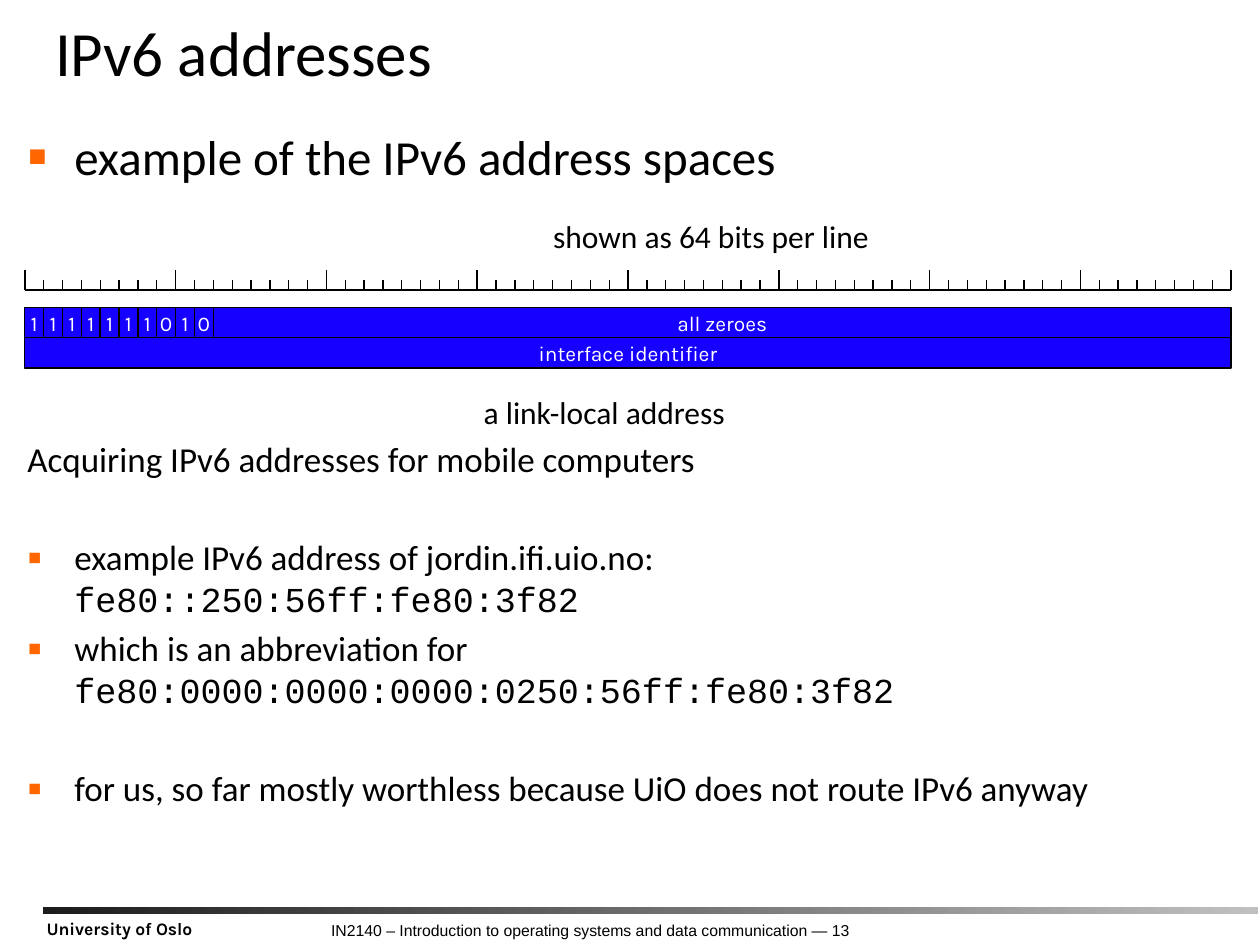
from lxml import etree
from pptx import Presentation
from pptx.dml.color import RGBColor
from pptx.enum.shapes import MSO_CONNECTOR, MSO_SHAPE
from pptx.enum.text import MSO_ANCHOR, MSO_AUTO_SIZE, PP_ALIGN
from pptx.oxml.ns import qn
from pptx.util import Cm, Pt

LINE = MSO_CONNECTOR.STRAIGHT
RECTANGLE = MSO_SHAPE.RECTANGLE
TOP, MIDDLE, BOTTOM = MSO_ANCHOR.TOP, MSO_ANCHOR.MIDDLE, MSO_ANCHOR.BOTTOM
NO_RESIZE = MSO_AUTO_SIZE.NONE
LEFT, CENTER = PP_ALIGN.LEFT, PP_ALIGN.CENTER
BLACK, WHITE, BLUE, ORANGE = "000000", "FFFFFF", "1600FF", "FF6600"


def rgb(value):
    return RGBColor.from_string(value)


def style(paragraph, size, face, color=BLACK, bold=False, align=LEFT):
    paragraph.alignment = align
    font = paragraph.font
    font.size, font.name, font.bold = Pt(size), face, bold
    font.color.rgb = rgb(color)


prs = Presentation()
prs.slide_width, prs.slide_height = Cm(25.4), Cm(19.05)
slide = prs.slides.add_slide(prs.slide_layouts[3])
shapes = slide.shapes
title, example, acquiring = slide.placeholders

for holder, left, top, width, height, right_inset, anchor in [
    (title, 0.86, 0.36, 24.43, 1.55, 0.1, BOTTOM),
    (example, 0.3, 2.41, 24.8, 1.55, 0.15, TOP),
    (acquiring, 0.3, 8.69, 24.8, 8.74, 0.15, TOP),
]:
    holder.left, holder.top = Cm(left), Cm(top)
    holder.width, holder.height = Cm(width), Cm(height)
    frame = holder.text_frame
    frame.auto_size, frame.word_wrap = NO_RESIZE, True
    frame.vertical_anchor = anchor
    frame.margin_left, frame.margin_right = Cm(0.25), Cm(right_inset)
    frame.margin_top = frame.margin_bottom = Cm(0.13)

heading = title.text_frame.paragraphs[0]
heading.text = "IPv6 addresses"
heading.line_spacing = 0.8
style(heading, 36, "Calibri")

for holder, items in [
    (example, [(["example of the IPv6 address spaces"], 28, 0, True)]),
    (acquiring, [
        (["Acquiring IPv6 addresses for mobile computers"], 20, 0, False),
        (["example IPv6 address of jordin.ifi.uio.no:",
          "fe80::250:56ff:fe80:3f82"], 20, 32, True),
        (["which is an abbreviation for",
          "fe80:0000:0000:0000:0250:56ff:fe80:3f82"], 20, 4, True),
        (["for us, so far mostly worthless because UiO does not route IPv6 anyway"],
         20, 32, True),
    ]),
]:
    frame = holder.text_frame
    for number, (lines, size, space, bulleted) in enumerate(items):
        paragraph = frame.add_paragraph() if number else frame.paragraphs[0]
        paragraph.space_before = Pt(space)
        properties = paragraph._p.get_or_add_pPr()
        indent = Cm(0.95) if bulleted else 0
        properties.set("marL", str(indent))
        properties.set("indent", str(-indent))
        if bulleted:
            bullet_color = etree.SubElement(properties, qn("a:buClr"))
            etree.SubElement(bullet_color, qn("a:srgbClr"), val=ORANGE)
            etree.SubElement(properties, qn("a:buSzPct"), val="120000")
            etree.SubElement(properties, qn("a:buFont"), typeface="Arial")
            etree.SubElement(properties, qn("a:buChar"), char="▪")
        else:
            etree.SubElement(properties, qn("a:buNone"))
        style(paragraph, size, "Calibri")
        paragraph.add_run().text = lines[0]
        for address in lines[1:]:
            paragraph.add_line_break()
            run = paragraph.add_run()
            run.text = address
            run.font.name = "Courier New"

bits_per_line = 64
bit_width = 0.38
ruler_left, ruler_bottom = 0.5, 5.84
ruler_right = ruler_left + bits_per_line * bit_width
ruler_lines = [(ruler_left, ruler_right, ruler_bottom, 1)]
for bit in range(bits_per_line + 1):
    x = ruler_left + bit * bit_width
    tick, weight = (0.4, 1) if bit % 8 == 0 else (0.2, 0.75)
    ruler_lines.append((x, x, ruler_bottom - tick, weight))
for start_x, end_x, end_y, weight in ruler_lines:
    mark = shapes.add_connector(LINE, Cm(start_x), Cm(ruler_bottom), Cm(end_x), Cm(end_y))
    mark.line.color.rgb = rgb(BLACK)
    mark.line.width = Pt(weight)
    etree.SubElement(mark._element.spPr, qn("a:effectLst"))

prefix = "1111111010"
address_rows = [
    [(digit, 1) for digit in prefix] + [("all zeroes", bits_per_line - len(prefix))],
    [("interface identifier", bits_per_line)],
]
row_height = 0.61
for row, fields in enumerate(address_rows):
    x = ruler_left
    for text, bits in fields:
        field = shapes.add_shape(RECTANGLE, Cm(x), Cm(6.2 + row * row_height),
                                 Cm(bits * bit_width), Cm(row_height))
        field.shadow.inherit = False
        field.fill.solid()
        field.fill.fore_color.rgb = rgb(BLUE)
        field.line.color.rgb = rgb(BLACK)
        field.line.width = Pt(0.75)
        frame = field.text_frame
        frame.word_wrap = False
        frame.vertical_anchor = MIDDLE
        frame.margin_left = frame.margin_right = frame.margin_top = frame.margin_bottom = 0
        frame.text = text
        style(frame.paragraphs[0], 12, "Karla", WHITE, align=CENTER)
        x += bits * bit_width

footer_bar = shapes.add_shape(RECTANGLE, Cm(0.86), Cm(18.29), Cm(24.51), Cm(0.13))
footer_bar.shadow.inherit = False
footer_bar.line.fill.background()
footer_bar.fill.gradient()
footer_bar.fill.gradient_angle = 0
for stop, color in zip(footer_bar.fill.gradient_stops, ["1C1C1C", "C0C0C0"]):
    stop.color.rgb = rgb(color)

for text, left, top, width, height, inset, wrap, size, face, bold, align in [
    ("shown as 64 bits per line", 10.9, 4.24, 7.19, 1.02, 0.13, False,
     18, "Calibri", False, LEFT),
    ("a link-local address", 9.5, 7.8, 5.49, 1.02, 0.13, False,
     18, "Calibri", False, LEFT),
    ("IN2140 – Introduction to operating systems and data communication — 13",
     4.8, 18.49, 14.2, 0.58, 0.08, True, 9, "Arial", False, CENTER),
    ("University of Oslo", 0.69, 18.42, 4.14, 0.61, 0.08, True,
     10, "Karla", True, LEFT),
]:
    label = shapes.add_textbox(Cm(left), Cm(top), Cm(width), Cm(height))
    frame = label.text_frame
    frame.word_wrap = wrap
    frame.margin_top = Cm(inset)
    frame.text = text
    style(frame.paragraphs[0], size, face, bold=bold, align=align)

prs.save("out.pptx")
